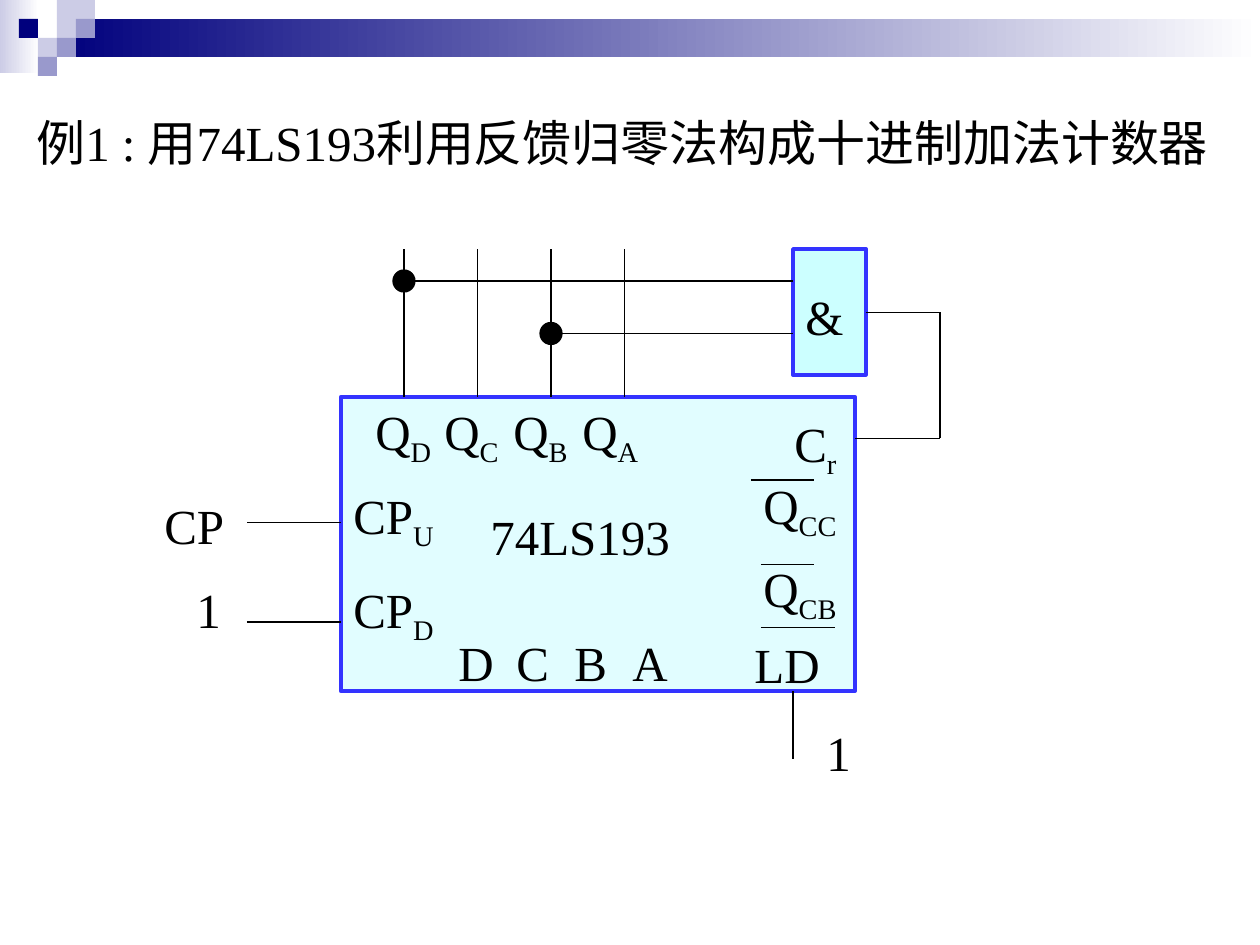
from lxml.etree import SubElement
from pptx import Presentation
from pptx.dml.color import RGBColor
from pptx.enum.shapes import MSO_CONNECTOR, MSO_SHAPE
from pptx.oxml.ns import qn
from pptx.util import Emu, Pt

SCALE = 914400 / 126  # EMU in one px
COLORS = {
    "navy": "00007D", "lilac": "CCCCE6", "violet": "9999CC", "white": "FFFFFF",
    "black": "000000", "edge": "3333FF", "chip": "E1FDFF", "gate": "CCFFFF",
}
SERIF, SANS = "Times New Roman", "Arial"

# Header: gradient bands, then tiles as (column, row, colour) on a 19 px grid
TILE = 19
BANDS = [((0, 0, 39, 73), "lilac"), ((57, 19, 1203, 38), "navy")]
TILES = [(3, 0, "lilac"), (1, 1, "navy"), (3, 1, "lilac"), (4, 0, "lilac"),
         (4, 1, "violet"), (2, 2, "lilac"), (3, 2, "violet"), (2, 3, "violet")]
TILES[2:4] = [(3, 1, "lilac"), (4, 0, "lilac")]

TITLE = ("例1 : 用74LS193", "利用反馈归零法构成十进制加法计数器")

# Circuit geometry
CHIP = (341, 397, 514, 294)
GATE = (793, 249, 73, 126)
CHIP_RIGHT, CHIP_BOTTOM = CHIP[0] + CHIP[2], CHIP[1] + CHIP[3]
GATE_RIGHT = GATE[0] + GATE[2]
OUTPUTS = [404 + 73.5 * i for i in range(4)]  # QD, QC, QB, QA
TAPS = [(OUTPUTS[0], 281), (OUTPUTS[2], 333.5)]
DOT, LOOP_X, GATE_Y, CLEAR_Y = 22, 940, 312.5, 438.5
INPUT_X = 247

WIRES = (
    [(x, CHIP[1], x, GATE[1], 0.75) for x in OUTPUTS]
    + [(GATE[0], y, x, y, 0.75) for x, y in TAPS]
    + [
        (GATE_RIGHT, GATE_Y, LOOP_X, GATE_Y, 0.75),
        (LOOP_X, GATE_Y, LOOP_X, CLEAR_Y, 0.75),
        (CHIP_RIGHT, CLEAR_Y, LOOP_X, CLEAR_Y, 0.75),
        (CHIP[0], 522.5, INPUT_X, 522.5, 0.75),
        (INPUT_X, 622, CHIP[0], 622, 1.5),
        (GATE[0], CHIP_BOTTOM, GATE[0], 759, 1.5),
    ]
)
OVERLINES = [(751, 480, 814, 480, 0.75), (761, 564.5, 814, 564.5, 0.75),
             (761, 627.5, 835, 627.5, 0.75)]

# Labels: spans alternate between normal and subscript; then left, top, width, tab step
LABELS = [
    (("C", "r"), 782, 407, 78, 0),
    (("CP", "U"), 341, 479, 110, 0),
    (("CP", "D"), 341, 573, 110, 0),
    (("D\tC\tB\tA",), 446, 626, 240, 58),
    (("LD",), 742, 628, 94, 0),
    (("Q", "D", "\tQ", "C", "\tQ", "B", "\tQ", "A"), 363, 395, 309, 69),
    (("Q", "CC"), 751, 469, 105, 0),
    (("Q", "CB"), 751, 552, 105, 0),
    (("74LS193",), 478, 500, 206, 0),
    (("CP",), 152, 489, 88, 0),
    (("&",), 793, 280, 63, 0),
    (("1",), 814, 716, 50, 0),
    (("1",), 184, 573, 50, 0),
]
LABEL_HEIGHT = 72


def px(value):
    return Emu(round(value * SCALE))


def rgb(name):
    return RGBColor.from_string(COLORS[name])


def add_block(page, area, color, kind=MSO_SHAPE.RECTANGLE, line=None, weight=0.75, fade=False):
    shape = page.shapes.add_shape(kind, *map(px, area))
    shape.shadow.inherit = False
    if fade:
        shape.fill.gradient()
        shape.fill.gradient_angle = 0
        for stop, name, position in zip(shape.fill.gradient_stops, (color, "white"), (0, 1)):
            stop.color.rgb = rgb(name)
            stop.position = position
    else:
        shape.fill.solid()
        shape.fill.fore_color.rgb = rgb(color)
    if line:
        shape.line.color.rgb = rgb(line)
        shape.line.width = Pt(weight)
    else:
        shape.line.fill.background()


def add_wire(page, x1, y1, x2, y2, weight):
    wire = page.shapes.add_connector(MSO_CONNECTOR.STRAIGHT, *map(px, (x1, y1, x2, y2)))
    wire.line.color.rgb = rgb("black")
    wire.line.width = Pt(weight)
    SubElement(wire._element.spPr, qn("a:effectLst"))


def add_text(page, spans, area, fonts=(SERIF,), subscript=True, tab=0, hanging=0, spacing=None):
    box = page.shapes.add_textbox(*map(px, area))
    box.text_frame.word_wrap = True
    para = box.text_frame.paragraphs[0]
    if spacing:
        para.line_spacing = spacing
    properties = para._p.get_or_add_pPr()
    if hanging:
        properties.set("marL", str(px(hanging)))
        properties.set("indent", str(-px(hanging)))
    if tab:
        tabs = SubElement(properties, qn("a:tabLst"))
        for i in range(1, 4):
            SubElement(tabs, qn("a:tab"), pos=str(px(tab * i)), algn="l")
    for i, text in enumerate(spans):
        span = para.add_run()
        span.text = text
        span.font.size = Pt(28)
        span.font.name = fonts[i % len(fonts)]
        span.font.color.rgb = rgb("black")
        if subscript and i % 2:
            span._r.get_or_add_rPr().set("baseline", "-25000")


def main():
    deck = Presentation()
    deck.slide_width, deck.slide_height = px(1260), px(945)
    page = deck.slides.add_slide(deck.slide_layouts[6])

    # Header decoration
    for area, color in BANDS:
        add_block(page, area, color, fade=True)
    for column, row, color in TILES:
        add_block(page, (column * TILE, row * TILE, TILE, TILE), color)

    # Title
    add_text(page, TITLE, (24, 113, 1210, 84), fonts=(SERIF, SANS),
             subscript=False, hanging=48, spacing=0.9)

    # Chip, gate, wires and junctions
    add_block(page, CHIP, "chip", line="edge", weight=2.5)
    add_block(page, GATE, "gate", line="edge", weight=2)
    for wire in WIRES + OVERLINES:
        add_wire(page, *wire)
    for x, y in TAPS:
        add_block(page, (x - DOT / 2, y - DOT / 2, DOT, DOT), "black",
                  kind=MSO_SHAPE.OVAL, line="black")

    # Pin labels
    for spans, left, top, width, tab in LABELS:
        add_text(page, spans, (left, top, width, LABEL_HEIGHT), tab=tab)

    deck.save("out.pptx")


if __name__ == "__main__":
    main()
